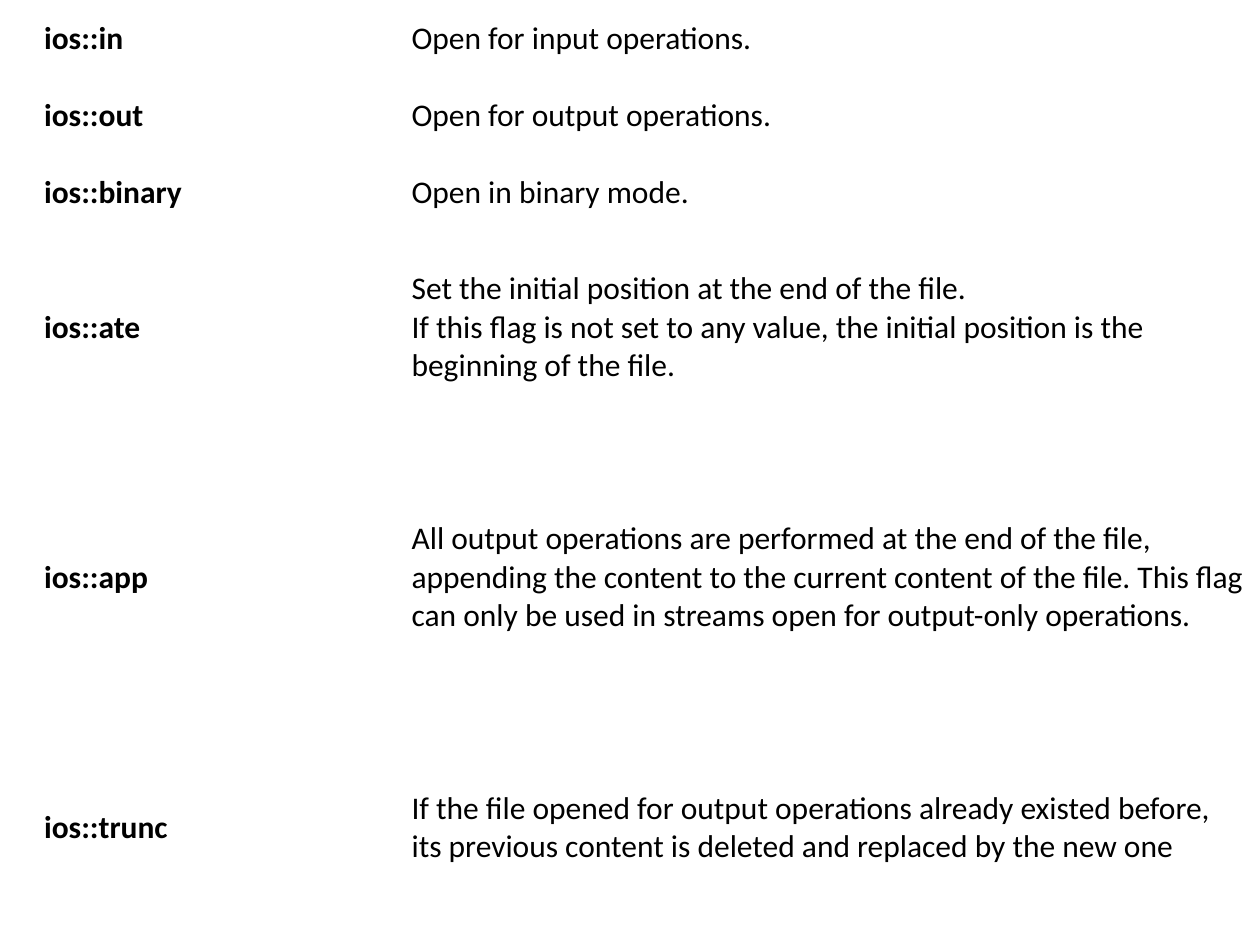
"""Build a slide with a table of C++ file opening modes."""
from dataclasses import dataclass

from pptx import Presentation
from pptx.dml.color import RGBColor
from pptx.enum.text import MSO_ANCHOR as Anchor
from pptx.util import Pt


@dataclass(frozen=True)
class Theme:
    font: str = "Calibri"
    size: int = 18
    ink: RGBColor = RGBColor(0, 0, 0)


THEME = Theme()
COLUMN_WIDTHS = (210, 492)
MODES = (
    (44, "ios::in", ("Open for input operations.",)),
    (44, "ios::out", ("Open for output operations.",)),
    (44, "ios::binary", ("Open in binary mode.",)),
    (110, "ios::ate", (
        "Set the initial position at the end of the file.",
        "If this flag is not set to any value, the initial position is the "
        "beginning of the file.")),
    (176, "ios::app", (
        "All output operations are performed at the end of the file, "
        "appending the content to the current content of the file. This flag "
        "can only be used in streams open for output-only operations.",)),
    (110, "ios::trunc", (
        "If the file opened for output operations already existed before, "
        "its previous content is deleted and replaced by the new one",)),
)


def add_span(para, text, bold):
    span = para.add_run()
    span.text = text
    span.font.name = THEME.font
    span.font.size = Pt(THEME.size)
    span.font.bold = bold
    span.font.color.rgb = THEME.ink


def fill_cell(cell, lines, bold=False):
    cell.fill.background()
    cell.vertical_anchor = Anchor.MIDDLE
    para = cell.text_frame.paragraphs[0]
    for index, line in enumerate(lines):
        if index:
            para.add_line_break()
        add_span(para, line, bold)


def add_mode_table(page, left, top):
    height = sum(mode[0] for mode in MODES)
    frame = page.shapes.add_table(
        len(MODES), len(COLUMN_WIDTHS), Pt(left), Pt(top),
        Pt(sum(COLUMN_WIDTHS)), Pt(height))
    table = frame.table
    table.first_row = False
    table.horz_banding = False
    for column, width in zip(table.columns, COLUMN_WIDTHS):
        column.width = Pt(width)
    for row, (row_height, flag, meaning) in zip(table.rows, MODES):
        row.height = Pt(row_height)
        flag_cell, meaning_cell = row.cells
        fill_cell(flag_cell, (flag,), bold=True)
        fill_cell(meaning_cell, meaning)


def main():
    deck = Presentation()
    deck.slide_width, deck.slide_height = Pt(720), Pt(540)
    page = deck.slides.add_slide(deck.slide_layouts[6])
    add_mode_table(page, left=18, top=0)
    deck.save("out.pptx")


main()
